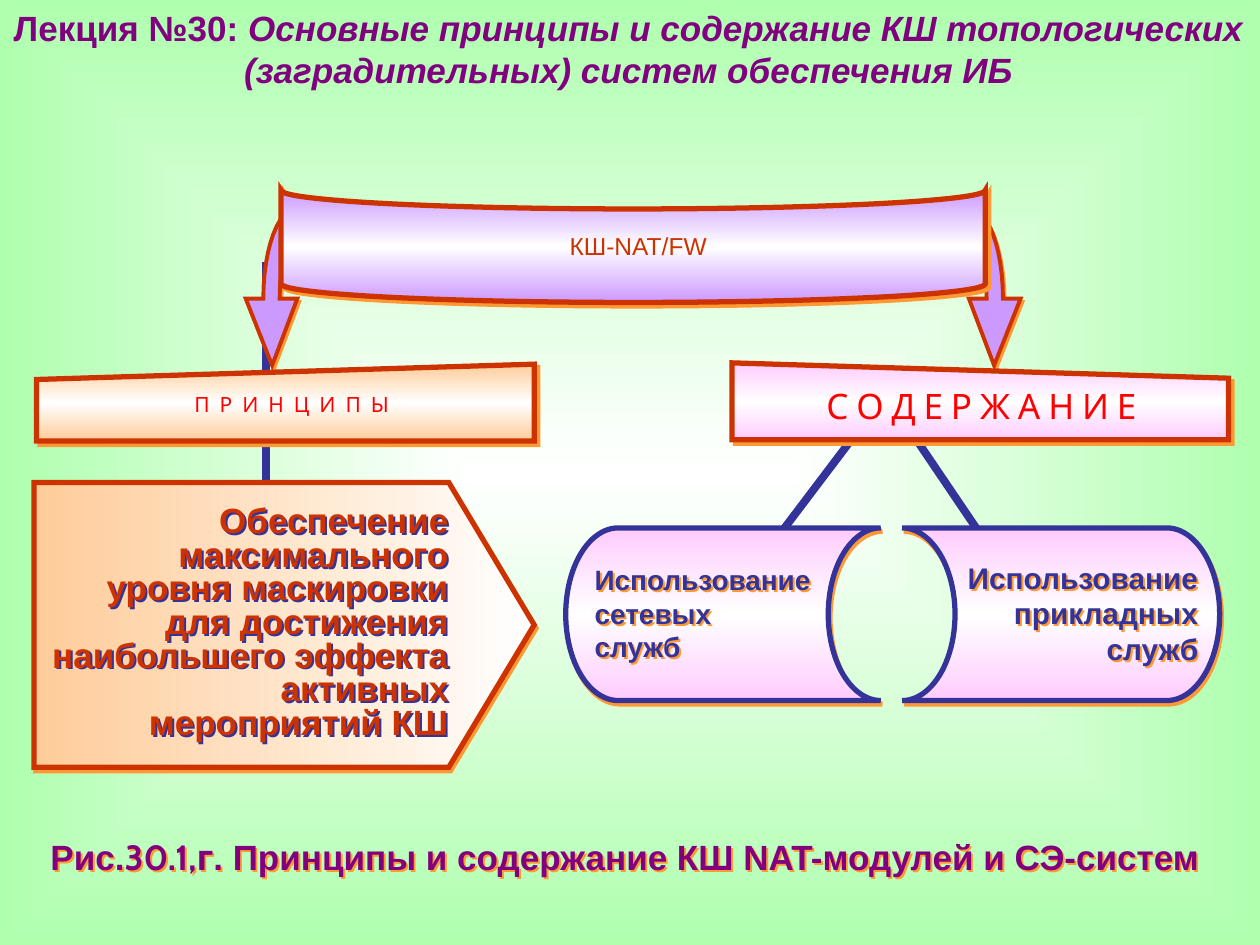
from lxml import etree
from pptx import Presentation
from pptx.dml.color import RGBColor
from pptx.enum.shapes import MSO_CONNECTOR, MSO_SHAPE
from pptx.enum.text import MSO_ANCHOR, PP_ALIGN
from pptx.oxml.ns import qn
from pptx.util import Inches, Pt

LEFT, CENTER, RIGHT = PP_ALIGN.LEFT, PP_ALIGN.CENTER, PP_ALIGN.RIGHT
MIDDLE, TOP = MSO_ANCHOR.MIDDLE, MSO_ANCHOR.TOP
STORAGE = MSO_SHAPE.FLOWCHART_STORED_DATA
MANUAL_INPUT = MSO_SHAPE.FLOWCHART_MANUAL_INPUT
PENTAGON = MSO_SHAPE.PENTAGON
STRAIGHT = MSO_CONNECTOR.STRAIGHT
COLORS = {
    "white": "FFFFFF", "green": "AFFFAF", "navy": "333399", "rust": "CC3300",
    "orange": "FF9933", "lilac": "CC99FF", "peach": "FFCC99", "pink": "FFCCFF",
    "purple": "800080", "red": "FF0000",
}


def rgb(name):
    """Return the named colour."""
    return RGBColor.from_string(COLORS[name])


def put_gradient(holder, names, angle=None):
    """Replace the solid fill of a holder by evenly spaced colour stops."""
    gradient = etree.Element(qn("a:gradFill"), rotWithShape="1")
    stops = etree.SubElement(gradient, qn("a:gsLst"))
    for index, name in enumerate(names):
        place = 100000 * index // (len(names) - 1)
        stop = etree.SubElement(stops, qn("a:gs"), pos=str(place))
        etree.SubElement(stop, qn("a:srgbClr"), val=COLORS[name])
    if angle is None:
        shade = etree.SubElement(gradient, qn("a:path"), {"path": "shape"})
        sides = dict.fromkeys("ltrb", "50000")
        etree.SubElement(shade, qn("a:fillToRect"), sides)
    else:
        etree.SubElement(gradient, qn("a:lin"), ang=str(angle * 60000), scaled="0")
    solid = holder.find(qn("a:solidFill"))
    holder.replace(solid, gradient)


def put_shadow(shape, color, distance=2.2, angle=63):
    """Give a shape a hard offset shadow."""
    shape.shadow.inherit = False
    effects = shape.element.spPr.find(qn("a:effectLst"))
    shadow = etree.SubElement(effects, qn("a:outerShdw"), blurRad="0",
                              dist=str(Pt(distance)), dir=str(angle * 60000),
                              algn="ctr", rotWithShape="0")
    etree.SubElement(shadow, qn("a:srgbClr"), val=COLORS[color])


def put_line(shape, color, width):
    """Outline a shape with mitred corners."""
    shape.line.color.rgb = rgb(color)
    shape.line.width = Pt(width)
    outline = shape.element.spPr.find(qn("a:ln"))
    etree.SubElement(outline, qn("a:miter"), lim="800000")


def add_figure(page, kind, box, names, angle, line, distance=2.2, turn=63, flip=False):
    """Add a preset shape with gradient, outline and shadow."""
    shape = page.shapes.add_shape(kind, *map(Inches, box))
    shape.fill.solid()
    put_gradient(shape.element.spPr, names, angle)
    put_line(shape, line, 3)
    put_shadow(shape, "orange", distance, turn)
    if flip:
        shape.element.spPr.find(qn("a:xfrm")).set("flipH", "1")
    return shape


def add_text(page, box, lines, color, size, align=CENTER, anchor=MIDDLE, font="Arial",
             bold=True, shadow=None, spacing=None, tracking=0):
    """Add a text box; each line is a list of (text, format values)."""
    shape = page.shapes.add_textbox(*map(Inches, box))
    frame = shape.text_frame
    values = {"word_wrap": True, "vertical_anchor": anchor, "margin_left": 0,
              "margin_right": 0, "margin_top": 0, "margin_bottom": 0}
    for key, value in values.items():
        setattr(frame, key, value)
    for index, line in enumerate(lines):
        para = frame.add_paragraph() if index else frame.paragraphs[0]
        para.alignment = align
        para.line_spacing = spacing
        for text, extra in line:
            span = para.add_run()
            span.text = text
            style = {"name": font, "size": Pt(size), "bold": bold} | extra
            for key, value in style.items():
                setattr(span.font, key, value)
            span.font.color.rgb = rgb(color)
            if tracking:
                span.font._element.set("spc", str(tracking))
    if shadow:
        put_shadow(shape, shadow, 1.6, 45)


def add_outline(page, points, closed):
    """Add a freeform through points given in inches."""
    start, *others = [(Inches(x), Inches(y)) for x, y in points]
    builder = page.shapes.build_freeform(*start)
    builder.add_line_segments(others, close=closed)
    return builder.convert_to_shape()


def bend(start, first, second, end, steps=12):
    """Return points along a cubic curve after its start."""
    return [tuple((1 - t) ** 3 * a + 3 * (1 - t) ** 2 * t * b + 3 * (1 - t) * t * t * c + t ** 3 * d
                  for a, b, c, d in zip(start, first, second, end))
            for t in (step / steps for step in range(1, steps + 1))]


def add_arrow(page, left, top, side):
    """Add a bent arrow with its tip below; side is 1 or -1."""
    outer = bend((-0.07, 0.72), (-0.07, 0.32), (0.05, 0), (0.2, 0))
    inner = bend((0.2, 0.22), (0.12, 0.22), (0.06, 0.45), (0.06, 0.72))
    offsets = [(0, 1.25), (-0.21, 0.72), (-0.07, 0.72), *outer,
               (0.51, 0), (0.51, 0.22), (0.2, 0.22), *inner, (0.2, 0.72)]
    points = [(left + side * x, top + y) for x, y in offsets]
    shape = add_outline(page, points, True)
    shape.fill.solid()
    shape.fill.fore_color.rgb = rgb("lilac")
    put_line(shape, "rust", 2.25)
    put_shadow(shape, "orange")


def add_links(page, left, top):
    """Add the lines that run behind the blocks."""
    stem = page.shapes.add_connector(STRAIGHT, *map(Inches, (left, top, left, top + 3.73)))
    stem.line.color.rgb = rgb("navy")
    stem.line.width = Pt(4.5)
    etree.SubElement(stem.element.spPr, qn("a:effectLst"))
    offsets = [(3.86, 2.45), (4.92, 1.05), (5.86, 2.44)]
    fork = add_outline(page, [(left + x, top + y) for x, y in offsets], False)
    fork.fill.background()
    put_line(fork, "navy", 4.5)
    fork.shadow.inherit = False


def add_banner(page, left, top, width, height):
    """Add the curved banner and its two arrows."""
    for x, side in ((left - 0.07, 1), (left + width + 0.07, -1)):
        add_arrow(page, x, top + 0.14, side)
    middle_x, middle_y = left + width / 2, top + height / 2
    box = (middle_x - height / 2, middle_y - width / 2, height, width)
    shape = add_figure(page, STORAGE, box, ("lilac", "white", "lilac"), 0, "rust", 2.8, 45)
    shape.rotation = 270
    add_text(page, (left + 0.04, top + 0.22, width, 0.44), [[("КШ-NAT/FW", {})]],
             "rust", 14, bold=False)


def add_heading(page, box, shift, tint, text, size, tracking, flip):
    """Add a slanted heading block; shift moves its text."""
    left, top, width, height = box
    add_figure(page, MANUAL_INPUT, box, (tint, "white", tint), 90, "rust", 2.8, 45, flip)
    add_text(page, (left + 0.15 + shift, top + 0.15 - shift / 2, width - 0.3, height - 0.22),
             [[(text, {})]], "red", size, font="Cabin", bold=False, tracking=tracking)


def add_service(page, box, inset, words, size, align, flip):
    """Add a storage block with its three words."""
    left, top, width, height = box
    add_figure(page, STORAGE, box, ("pink", "white", "pink"), 90, "navy", flip=flip)
    add_text(page, (left + inset, top + 0.25, 1.9, height - 0.52),
             [[(word, {})] for word in words], "navy", size, align, shadow="orange")


def add_principle(page, left, top, width, height):
    """Add the pentagon with the principle."""
    shape = add_figure(page, PENTAGON, (left, top, width, height),
                       ("peach", "white"), 0, "rust")
    shape.adjustments[0] = 0.3
    lines = ("Обеспечение максимального",
             "уровня маскировки для достижения наибольшего эффекта активных мероприятий КШ")
    add_text(page, (left + 0.13, top + 0.19, 3.16, height - 0.39),
             [[(line, {})] for line in lines], "rust", 20, RIGHT, shadow="navy", spacing=0.8)


def add_title(page, left, top, width, height):
    """Add the lecture title."""
    italic = {"italic": True}
    lines = [[("Лекция №30: ", {}), ("Основные принципы и содержание КШ топологических", italic)],
             [("(заградительных) систем обеспечения ИБ", italic)]]
    add_text(page, (left, top + 0.05, width, height - 0.05), lines, "purple", 20, anchor=TOP)


def add_caption(page, *box):
    """Add the figure caption."""
    line = [("Рис.", {}), ("30.1,г", {"name": "Cabin"}),
            (". Принципы и содержание КШ NAT-модулей и СЭ-систем", {})]
    add_text(page, box, [line], "purple", 20, shadow="orange")


def main():
    """Build and save the slide."""
    deck = Presentation()
    deck.slide_width, deck.slide_height = Inches(10), Inches(7.5)
    page = deck.slides.add_slide(deck.slide_layouts[6])
    page.background.fill.solid()
    put_gradient(next(page.element.iter(qn("p:bgPr"))), ("white", "green"))
    add_links(page, 2.11, 2.08)
    add_banner(page, 2.23, 1.51, 5.59, 0.89)
    add_heading(page, (0.29, 2.89, 3.95, 0.61), 0.05, "peach", "П Р И Н Ц И П Ы", 12, 150, False)
    add_heading(page, (5.81, 2.88, 3.94, 0.61), 0.01, "pink", "С О Д Е Р Ж А Н И Е", 20, 0, True)
    add_title(page, 0, 0, 9.98, 0.77)
    add_service(page, (7.16, 4.19, 2.52, 1.37), 0.45,
                ("Использование", "прикладных", "служб"), 17, RIGHT, True)
    add_service(page, (4.49, 4.19, 2.5, 1.37), 0.23,
                ("Использование", "сетевых", "служб"), 16, LEFT, False)
    add_caption(page, 0, 6.63, 9.92, 0.33)
    add_principle(page, 0.27, 3.83, 3.97, 2.26)
    deck.save("out.pptx")


if __name__ == "__main__":
    main()
